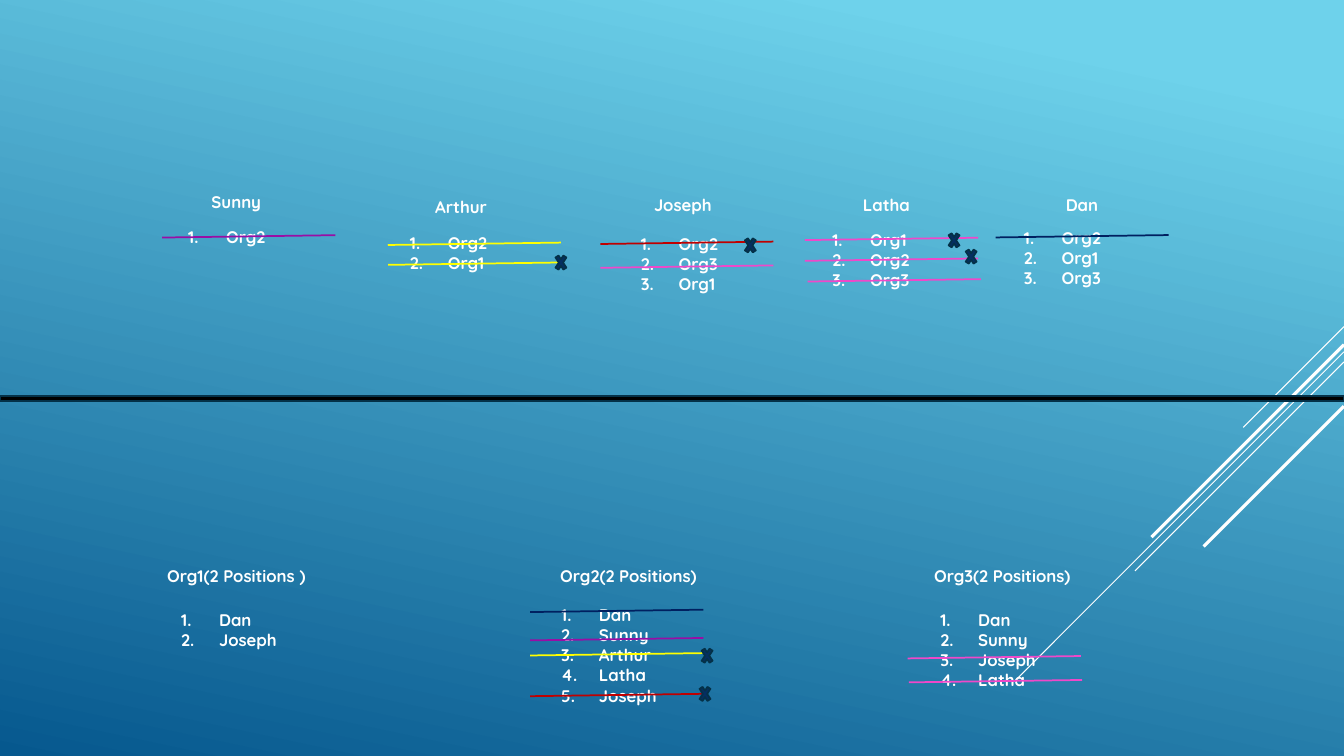
from lxml.etree import SubElement
from pptx import Presentation
from pptx.dml.color import RGBColor
from pptx.enum.shapes import MSO_CONNECTOR as Connector, MSO_SHAPE as Preset
from pptx.enum.text import MSO_AUTO_SIZE as AutoSize, PP_ALIGN as Align
from pptx.oxml.ns import qn
from pptx.util import Pt

WIDTH, HEIGHT = 960, 540
WHITE, BLACK, NAVY, OUTLINE = "FFFFFF", "000000", "052F61", "043148"
PURPLE, YELLOW, RED, PINK, INK = "990EA5", "FFFF00", "C00000", "EF48C9", "002060"
TEXT_FORMAT = {"name": "Quicksand", "size": Pt(12), "bold": True}
LINE_HEIGHT, PADDING, LIST_INDENT = 14.5, 7.2, 27
STRIKE_LENGTH, STRIKE_RISE = 123.7, 1.7

DIAGONALS = [(233.3, 72, 0.75), (251.3, 234.7, 0.75), (258.5, 149.3, 0.75),
             (246.2, 137.5, 2.25), (290.2, 100.2, 2.25)]

HEADINGS = [
    ("Sunny", 130.3, 133.2, 77),
    ("Arthur", 290.9, 136.8, 77),
    ("Joseph", 449.3, 135.4, 77),
    ("Latha", 594.7, 135.4, 77),
    ("Dan", 734.4, 135.4, 77),
    ("Org1(2 Positions )", 108, 400.3, 121.7),
    ("Org2(2 Positions)", 388.1, 400.3, 121.7),
    ("Org3(2 Positions)", 652.3, 400.3, 127.4),
]

RANKINGS = [
    (["Org2"], 127.4, 158.4, 72),
    (["Org2", "Org1"], 285.8, 162.7, 72),
    (["Org2", "Org3", "Org1"], 450.7, 163.4, 72),
    (["Org1", "Org2", "Org3"], 587.5, 160.6, 72),
    (["Org2", "Org1", "Org3"], 724.3, 159.1, 72),
    (["Dan", "Joseph"], 122.4, 432, 100.8),
    (["Dan", "Sunny", "Arthur", "Latha", "Joseph"], 393.8, 428.4, 110.9),
    (["Dan", "Sunny", "Joseph", "Latha"], 664.6, 432, 110.9),
]

STRIKES = [
    (PURPLE, [(115.9, 169.7), (378.7, 457.4)]),
    (YELLOW, [(277, 175), (277.2, 189.2), (378.7, 468.2)]),
    (RED, [(428.8, 174.3), (378.7, 497.3)]),
    (PINK, [(428.8, 191.3), (575, 171.5), (575, 186.3), (576.9, 201.1),
            (648.3, 470.3), (649.2, 487.4)]),
    (INK, [(711.1, 169.6), (378.7, 437.2)]),
]

CROSSES = [(395.3, 179.3), (530.6, 167), (676.1, 163.4), (688.3, 175),
           (499.7, 460.1), (498.2, 487.4)]


def color(value):
    return RGBColor.from_string(value)


def paint_background(slide):
    fill = slide.background.fill
    fill.gradient()
    fill.gradient_angle = 258
    for stop, (position, value) in zip(fill.gradient_stops,
                                       [(0.1, "6ED2EB"), (1, "06588E")]):
        stop.position = position
        stop.color.rgb = color(value)


def add_line(slide, start, end, value, weight):
    points = [Pt(number) for number in (*start, *end)]
    connector = slide.shapes.add_connector(Connector.STRAIGHT, *points)
    connector.line.color.rgb = color(value)
    connector.line.width = Pt(weight)
    SubElement(connector._element.spPr, qn("a:effectLst"))


def add_strike(slide, left, bottom, value):
    end = (left + STRIKE_LENGTH, bottom - STRIKE_RISE)
    add_line(slide, (left, bottom), end, value, 1.25)


def add_block(slide, preset, box, value):
    shape = slide.shapes.add_shape(preset, *[Pt(number) for number in box])
    shape.shadow.inherit = False
    shape.fill.solid()
    shape.fill.fore_color.rgb = color(value)
    shape.line.color.rgb = color(OUTLINE)
    shape.line.width = Pt(1.25)


def number_paragraph(paragraph):
    properties = paragraph._p.get_or_add_pPr()
    properties.set("marL", str(Pt(LIST_INDENT)))
    properties.set("indent", str(-Pt(LIST_INDENT)))
    SubElement(properties, qn("a:buFont"), typeface="+mj-lt")
    SubElement(properties, qn("a:buAutoNum"), type="arabicPeriod")


def add_text(slide, lines, left, top, width, numbered=False):
    height = PADDING + LINE_HEIGHT * len(lines)
    box = [Pt(number) for number in (left, top, width, height)]
    frame = slide.shapes.add_textbox(*box).text_frame
    frame.word_wrap = True
    frame.auto_size = AutoSize.SHAPE_TO_FIT_TEXT
    for index, line in enumerate(lines):
        paragraph = frame.add_paragraph() if index else frame.paragraphs[0]
        if numbered:
            number_paragraph(paragraph)
        else:
            paragraph.alignment = Align.CENTER
        run = paragraph.add_run()
        run.text = line
        for name, setting in TEXT_FORMAT.items():
            setattr(run.font, name, setting)
        run.font.color.rgb = color(WHITE)


def main():
    presentation = Presentation()
    presentation.slide_width, presentation.slide_height = Pt(WIDTH), Pt(HEIGHT)
    slide = presentation.slides.add_slide(presentation.slide_layouts[6])
    paint_background(slide)
    for top, length, weight in DIAGONALS:
        add_line(slide, (WIDTH, top), (WIDTH - length, top + length), WHITE, weight)
    add_block(slide, Preset.RECTANGLE, (0, 283, WIDTH, 3.6), BLACK)
    for heading, *place in HEADINGS:
        add_text(slide, [heading], *place)
    for choices, *place in RANKINGS:
        add_text(slide, choices, *place, numbered=True)
    for value, places in STRIKES:
        for left, bottom in places:
            add_strike(slide, left, bottom, value)
    for left, top in CROSSES:
        add_block(slide, Preset.MATH_MULTIPLY, (left, top, 10.8, 16.6), NAVY)
    presentation.save("out.pptx")


if __name__ == "__main__":
    main()
